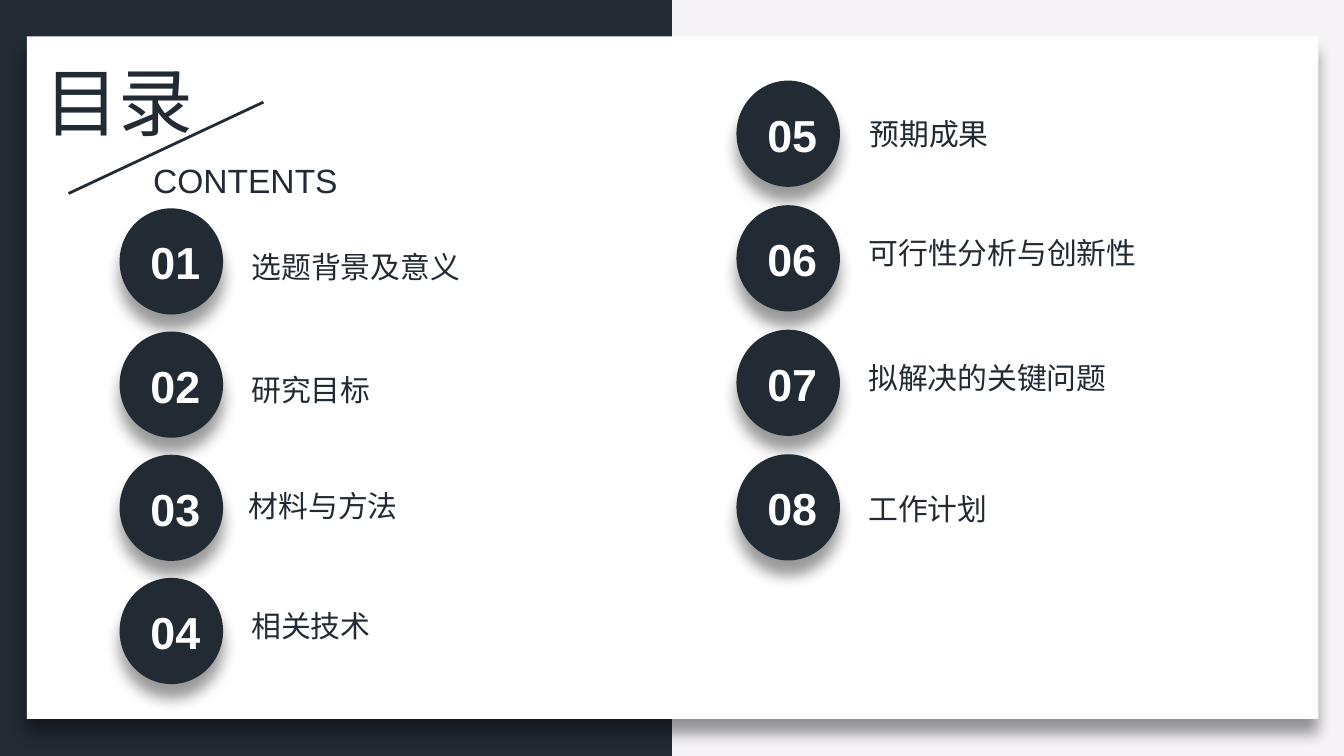
from lxml import etree
from pptx import Presentation
from pptx.dml.color import RGBColor
from pptx.enum.shapes import MSO_CONNECTOR, MSO_SHAPE
from pptx.enum.text import MSO_AUTO_SIZE, PP_ALIGN
from pptx.oxml import parse_xml
from pptx.oxml.ns import nsdecls, qn
from pptx.util import Inches, Pt

NAVY = RGBColor(0x22, 0x2B, 0x34)
WHITE = RGBColor(0xFF, 0xFF, 0xFF)
PALE = RGBColor(0xF6, 0xF4, 0xF7)
CJK_FONT = "Noto Sans CJK SC"

prs = Presentation()
prs.slide_width = Inches(10)
prs.slide_height = Inches(10 * 9 / 16)
slide = prs.slides.add_slide(prs.slide_layouts[6])
slide.background.fill.solid()
slide.background.fill.fore_color.rgb = PALE


def add_filled(kind, left, top, width, height, color, shadow=True):
    """Add a borderless shape, by default with a soft shadow below it."""
    shape = slide.shapes.add_shape(
        kind, Inches(left), Inches(top), Inches(width), Inches(height))
    shape.fill.solid()
    shape.fill.fore_color.rgb = color
    shape.line.fill.background()
    shape.shadow.inherit = False
    if shadow:
        effects = shape._element.spPr.find(qn("a:effectLst"))
        effects.append(parse_xml(
            f'<a:outerShdw {nsdecls("a")} blurRad="{Pt(8)}" dist="{Pt(8)}" '
            'dir="5400000" algn="t" rotWithShape="0"><a:srgbClr val="000000">'
            '<a:alpha val="40000"/></a:srgbClr></a:outerShdw>'))


def add_text(text, left, top, width, height, size, font="Arial", color=NAVY,
             bold=False, align=PP_ALIGN.LEFT, wrap=False):
    box = slide.shapes.add_textbox(
        Inches(left), Inches(top), Inches(width), Inches(height))
    frame = box.text_frame
    frame.word_wrap = wrap
    frame.auto_size = MSO_AUTO_SIZE.SHAPE_TO_FIT_TEXT
    paragraph = frame.paragraphs[0]
    paragraph.alignment = align
    run = paragraph.add_run()
    run.text = text
    run.font.size = Pt(size)
    run.font.name = font
    run.font.bold = bold
    run.font.color.rgb = color
    etree.SubElement(run.font._element, qn("a:ea"), typeface=font)


# Backdrop and card
add_filled(MSO_SHAPE.RECTANGLE, 0, 0, 5, 10 * 9 / 16, NAVY, shadow=False)
add_filled(MSO_SHAPE.RECTANGLE, 0.2, 0.27, 9.61, 5.08, WHITE)

# Heading
add_text("目录", 0.23, 0.37, 1.32, 0.77, 40, font="Calibri")
slash = slide.shapes.add_connector(
    MSO_CONNECTOR.STRAIGHT, Inches(1.96), Inches(0.76), Inches(0.51), Inches(1.44))
slash.line.color.rgb = NAVY
slash.line.width = Pt(1.5)
etree.SubElement(slash._element.spPr, qn("a:effectLst"))
add_text("CONTENTS", 1.04, 1.14, 1.59, 0.4, 18)

# Columns: left, first and last top, and chapters with their label position
columns = [
    (0.89, 1.55, 4.3, [("选题背景及意义", 1.77, 1.8), ("研究目标", 1.77, 2.72),
                       ("材料与方法", 1.75, 3.58), ("相关技术", 1.77, 4.47)]),
    (5.48, 0.6, 3.38, [("预期成果", 6.37, 0.81), ("可行性分析与创新性", 6.36, 1.7),
                       ("拟解决的关键问题", 6.36, 2.63), ("工作计划", 6.36, 3.6)]),
]
number = 0
for left, first_top, last_top, chapters in columns:
    pitch = (last_top - first_top) / (len(chapters) - 1)
    for row, (chapter, label_left, label_top) in enumerate(chapters):
        number += 1
        top = first_top + row * pitch
        label_width = 0.2 + len(chapter) * 16 / 72  # margins plus 16 pt glyphs
        add_filled(MSO_SHAPE.OVAL, left, top, 0.77, 0.79, NAVY)
        add_text(chapter, label_left, label_top, label_width, 0.37, 16,
                 font=CJK_FONT, align=PP_ALIGN.CENTER)
        add_text(f"{number:02}", left, top + 0.15, 0.83, 0.5, 24, color=WHITE,
                 bold=True, align=PP_ALIGN.CENTER, wrap=True)

prs.save("out.pptx")
